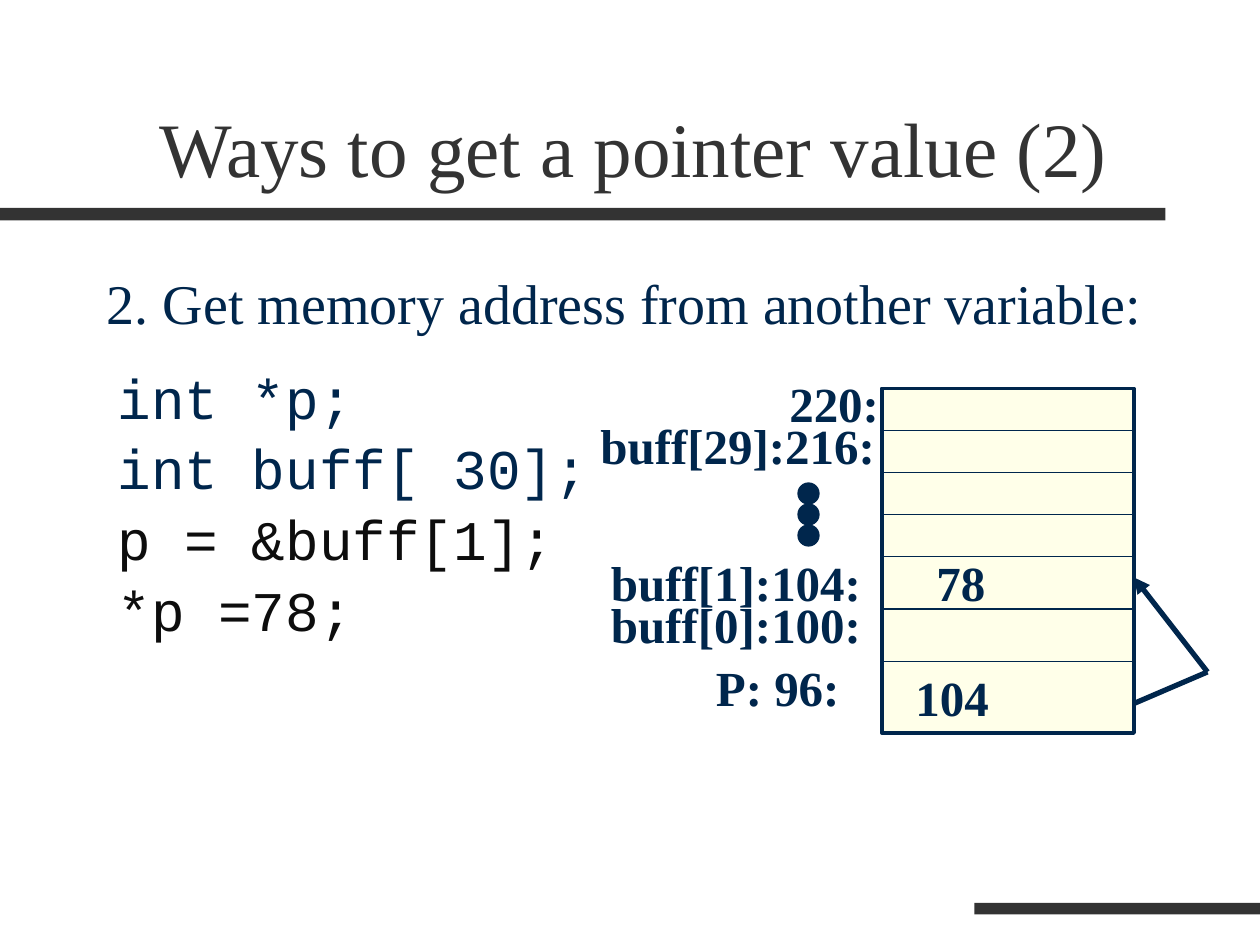
from lxml.etree import SubElement
from pptx import Presentation
from pptx.dml.color import RGBColor
from pptx.enum.shapes import MSO_CONNECTOR as Connector, MSO_SHAPE as Shape
from pptx.enum.text import MSO_ANCHOR as Anchor, MSO_AUTO_SIZE as AutoSize, PP_ALIGN as Align
from pptx.oxml.ns import qn
from pptx.util import Inches, Pt

COLUMNS, ROWS = 120, 90
WIDTH, HEIGHT = Inches(10), Inches(7.5)
NAVY, GRAY, BLACK, CREAM = "00264C", "333333", "0D0D0D", "FFFFE9"
SERIF, MONO = "Times New Roman", "Courier New"
LEFT, RIGHT, TOP, BOTTOM = 84, 108, 37, 69.8
CELL_EDGES = [41, 45, 49, 53, 58, 63]
LABEL_HEIGHT = 6.8
LABELS = [
    ("buff[0]:100:", 57, 56, 27),
    ("buff[1]:104:", 57, 52, 27),
    ("buff[29]:216:", 56, 39, 30),
    ("220:", 74, 35, 11),
    ("P: 96:", 67, 62, 27),
    ("104", 86, 63, 20),
    ("78", 88, 52, 20),
]
CODE = [
    ("int *p;", NAVY),
    ("int buff[ 30];", NAVY),
    ("p = &buff[1];", BLACK),
    ("*p =78;", BLACK),
]


def color(value):
    return RGBColor.from_string(value)


def grid(column, row):
    return round(WIDTH * column / COLUMNS), round(HEIGHT * row / ROWS)


def apply(target, values):
    for name, value in values.items():
        setattr(target, name, value)


def write(frame, lines, font, size, bold=False, space=0, anchor=Anchor.TOP):
    apply(frame, {"word_wrap": True, "auto_size": AutoSize.NONE, "vertical_anchor": anchor})
    for index, (text, ink) in enumerate(lines):
        paragraph = frame.add_paragraph() if index else frame.paragraphs[0]
        apply(paragraph, {"alignment": Align.LEFT, "space_before": Pt(space)})
        run = paragraph.add_run()
        run.text = text
        apply(run.font, {"name": font, "size": Pt(size), "bold": bold})
        run.font.color.rgb = color(ink)


def add_title(slide, text, column, row, width, height):
    title = slide.shapes.title
    position, size = grid(column, row), grid(width, height)
    apply(title, dict(zip(("left", "top", "width", "height"), position + size)))
    write(title.text_frame, [(text, GRAY)], SERIF, 44, anchor=Anchor.BOTTOM)


def add_text(slide, lines, column, row, width, height, **style):
    box = slide.shapes.add_textbox(*grid(column, row), *grid(width, height))
    write(box.text_frame, lines, **style)


def add_block(slide, kind, column, row, width, height, fill, line_width=0):
    shape = slide.shapes.add_shape(kind, *grid(column, row), *grid(width, height))
    shape.shadow.inherit = False
    shape.fill.solid()
    shape.fill.fore_color.rgb = color(fill)
    if line_width:
        shape.line.color.rgb = color(NAVY)
        shape.line.width = Pt(line_width)
    else:
        shape.line.fill.background()


def add_line(slide, start, end, width, arrow=False):
    line = slide.shapes.add_connector(Connector.STRAIGHT, *grid(*start), *grid(*end))
    line.line.color.rgb = color(NAVY)
    line.line.width = Pt(width)
    if arrow:
        SubElement(line.line._get_or_add_ln(), qn("a:tailEnd"), type="triangle")
    SubElement(line._element.spPr, qn("a:effectLst"))


def add_memory(slide):
    add_block(slide, Shape.RECTANGLE, LEFT, TOP, RIGHT - LEFT, BOTTOM - TOP, CREAM, 2.25)
    for row in CELL_EDGES:
        add_line(slide, (LEFT, row), (RIGHT, row), 0.75)
    for index in range(3):
        add_block(slide, Shape.OVAL, 76, 46 + 2 * index, 2, 2, NAVY, 0.75)
    for text, column, row, width in LABELS:
        add_text(slide, [(text, NAVY)], column, row, width, LABEL_HEIGHT,
                 font=SERIF, size=28, bold=True)


def add_pointer(slide):
    corner = (115, 64)
    add_line(slide, corner, (RIGHT, 55), 3, arrow=True)
    add_line(slide, (RIGHT, 67), corner, 3)


def main():
    presentation = Presentation()
    apply(presentation, {"slide_width": WIDTH, "slide_height": HEIGHT})
    slide = presentation.slides.add_slide(presentation.slide_layouts[5])
    add_block(slide, Shape.RECTANGLE, 0, 19.8, 111, 1.2, GRAY)
    add_block(slide, Shape.RECTANGLE, 92.8, 86, 27.2, 1.1, GRAY)
    add_title(slide, "Ways to get a pointer value (2)", 14, 4, 102, 15)
    add_text(slide, [("2. Get memory address from another variable:", NAVY)],
             9, 25, 102, 55, font=SERIF, size=32)
    add_text(slide, CODE, 10, 34, 56, 40.5, font=MONO, size=32, space=2)
    add_memory(slide)
    add_pointer(slide)
    presentation.save("out.pptx")


if __name__ == "__main__":
    main()
